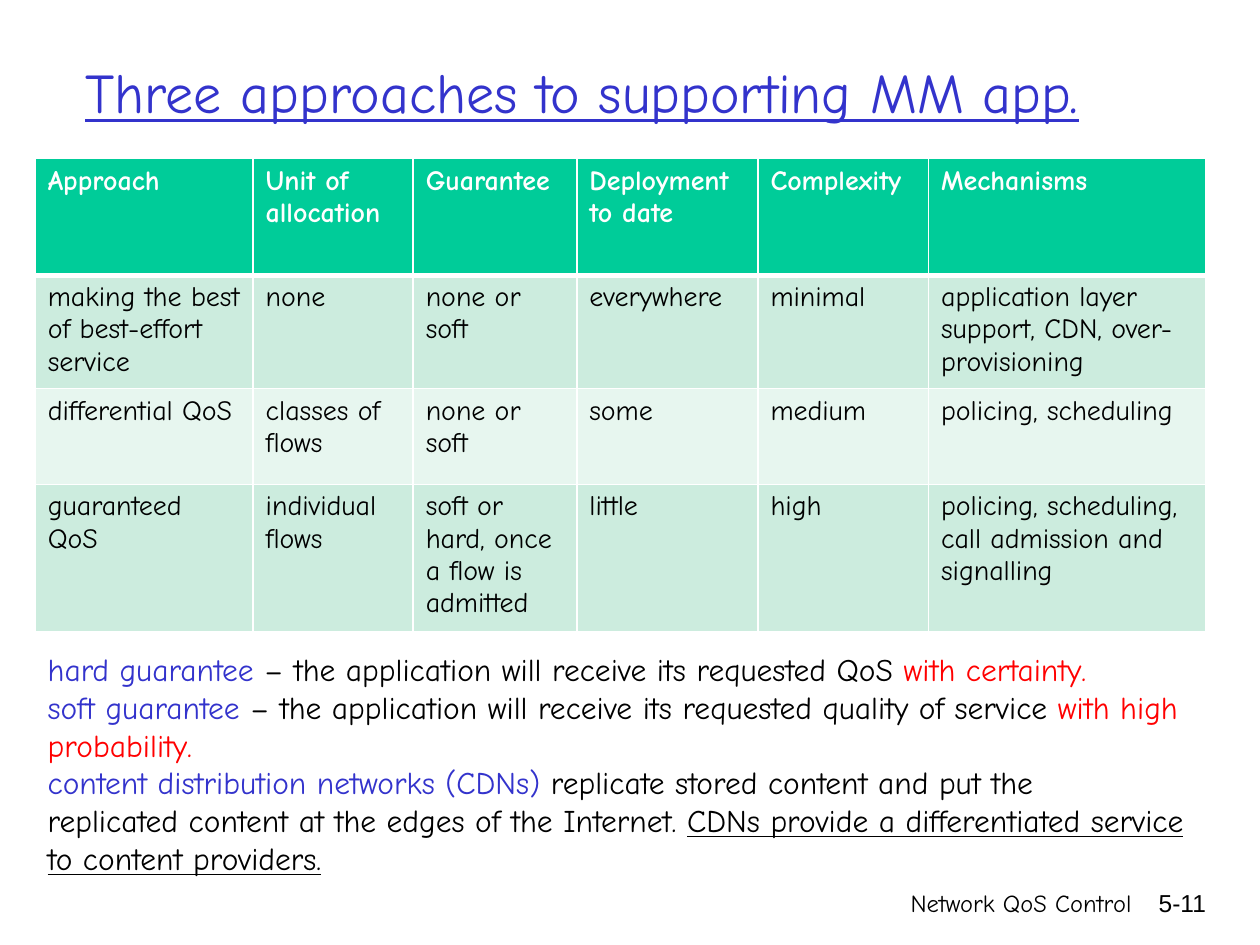
from lxml import etree
from pptx import Presentation
from pptx.dml.color import RGBColor
from pptx.enum.text import MSO_ANCHOR as ANCHOR, PP_ALIGN as ALIGN
from pptx.oxml.ns import qn
from pptx.util import Pt

FONT = "Comic Neue"
COLORS = {"blue": "3333CC", "red": "FF0000", "black": "000000", "white": "FFFFFF",
          "header": "00CC99", "band": "CCECDE", "light": "E7F6EF"}


def style(r, size, color="black", font=FONT, bold=False, underline=False):
    r.font.size = Pt(size)
    r.font.name = font
    r.font.bold = bold
    r.font.underline = underline
    r.font.color.rgb = RGBColor.from_string(COLORS[color])


def add_box(left, top, width, height, anchor=ANCHOR.TOP):
    """Add a wrapping text box and return its text frame."""
    tf = s.shapes.add_textbox(Pt(left), Pt(top), Pt(width), Pt(height)).text_frame
    tf.word_wrap = True
    tf.vertical_anchor = anchor
    return tf


prs = Presentation()
prs.slide_width, prs.slide_height = Pt(720), Pt(540)
s = prs.slides.add_slide(prs.slide_layouts[6])

# Title
p = add_box(41.76, 18, 655.2, 68.4, ANCHOR.MIDDLE).paragraphs[0]
p.text = "Three approaches to supporting MM app."
style(p.runs[0], 32, "blue", underline=True)

# Footer and slide number
for text, left, width, font in [("Network QoS Control", 349.92, 303.84, FONT),
                                ("5-11", 642.96, 53.28, "Arial")]:
    p = add_box(left, 504, width, 36).paragraphs[0]
    p.text = text
    p.alignment = ALIGN.RIGHT
    style(p.runs[0], 14, font=font)

# Comparison table
rows = [
    ["Approach", "Unit of allocation", "Guarantee", "Deployment to date",
     "Complexity", "Mechanisms"],
    ["making the best of best-effort service", "none", "none or soft", "everywhere",
     "minimal", "application layer support, CDN, over-provisioning"],
    ["differential QoS", "classes of flows", "none or soft", "some",
     "medium", "policing, scheduling"],
    ["guaranteed QoS", "individual flows", "soft or hard, once a flow is admitted", "little",
     "high", "policing, scheduling, call admission and signalling"],
]
col_widths = [124.5, 91.5, 93.5, 103.5, 97.5, 158.4]
row_heights = [66.6, 54.7, 54.7, 54.7]
row_fills = ["header", "band", "light", "band"]
table = s.shapes.add_table(len(rows), len(col_widths), Pt(20.16), Pt(90.72),
                           Pt(sum(col_widths)), Pt(sum(row_heights))).table
for column, width in zip(table.columns, col_widths):
    column.width = Pt(width)
for i, row in enumerate(rows):
    table.rows[i].height = Pt(row_heights[i])
    borders = {"L": 1, "R": 1, "T": 3 if i == 1 else 1, "B": 3 if i == 0 else 1}
    for j, text in enumerate(row):
        cell = table.cell(i, j)
        cell.text = text
        style(cell.text_frame.paragraphs[0].runs[0], 16,
              "white" if i == 0 else "black", bold=i == 0)
        tc_pr = cell._tc.get_or_add_tcPr()
        for side, width in borders.items():
            ln = etree.SubElement(tc_pr, qn(f"a:ln{side}"), w=str(Pt(width)))
            fill = etree.SubElement(ln, qn("a:solidFill"))
            etree.SubElement(fill, qn("a:srgbClr"), val=COLORS["white"])
        cell.fill.solid()
        cell.fill.fore_color.rgb = RGBColor.from_string(COLORS[row_fills[i]])

# Definitions: (text, colour, underlined) runs for each paragraph
definitions = [
    [("hard guarantee ", "blue", False),
     ("– the application will receive its requested QoS ", "black", False),
     ("with certainty.", "red", False)],
    [("soft guarantee ", "blue", False),
     ("– the application will receive its requested quality of service ", "black", False),
     ("with high probability.", "red", False)],
    [("content distribution networks (CDNs) ", "blue", False),
     ("replicate stored content and put the", "black", False)],
    [("replicated content at the edges of the Internet. ", "black", False),
     ("CDNs provide a differentiated service to content providers.", "black", True)],
]
tf = add_box(20.16, 367.92, 680.4, 138.24)
for i, runs in enumerate(definitions):
    p = tf.add_paragraph() if i else tf.paragraphs[0]
    for text, color, underline in runs:
        r = p.add_run()
        r.text = text
        style(r, 18, color, underline=underline)

prs.save("out.pptx")
